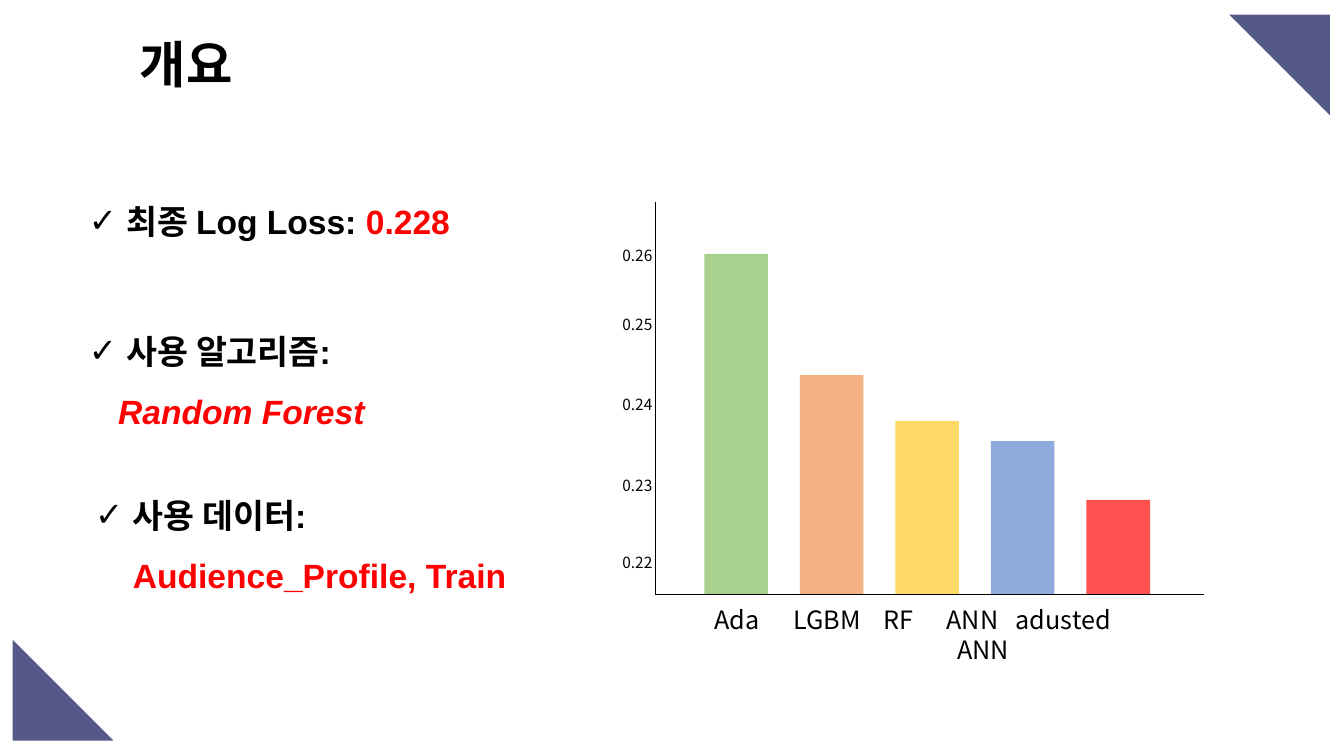
from lxml.etree import SubElement
from pptx import Presentation
from pptx.dml.color import RGBColor
from pptx.enum.shapes import MSO_CONNECTOR as Connector, MSO_SHAPE as Shape
from pptx.enum.text import MSO_ANCHOR as Anchor, MSO_AUTO_SIZE as AutoSize, PP_ALIGN as Align
from pptx.oxml.ns import qn
from pptx.util import Pt

BLACK, RED, NAVY = "000000", "FF0000", "01084F"
AXIS_LEFT, AXIS_RIGHT, AXIS_TOP, AXIS_BOTTOM = 467.8, 859.7, 144, 424.3
FIRST_BAR, BAR_PITCH, BAR_WIDTH = 503.1, 68.25, 45.4
BARS = [  # height, colour
    (243, "A9D18E"),
    (156.3, "F4B183"),
    (123.5, "FFD966"),
    (109.2, "8FAADC"),
    (67.3, "FF5050"),
]
TICKS = [  # value, top of its label
    ("0.26", 171.8),
    ("0.25", 221),
    ("0.24", 278.2),
    ("0.23", 336.5),
    ("0.22", 390.8),
]


def color(hex_code):
    return RGBColor.from_string(hex_code)


class SlideBuilder:
    sans, korean = "Arial", "Noto Sans CJK KR"

    def __init__(self, slide):
        self.slide = slide
        self.shapes = slide.shapes

    def run(self, paragraph, text, size, font, hue=BLACK, bold=False, italic=False):
        run = paragraph.add_run()
        run.text = text
        run.font.name, run.font.size = font, Pt(size)
        run.font.bold, run.font.italic = bold, italic
        run.font.color.rgb = color(hue)

    def place(self, box, left, top, width, height, anchor=Anchor.TOP):
        box.left, box.top, box.width, box.height = map(Pt, (left, top, width, height))
        frame = box.text_frame
        frame.word_wrap, frame.auto_size = True, AutoSize.NONE
        frame.vertical_anchor = anchor
        return frame

    def title(self, text, *bounds):
        frame = self.place(self.shapes.title, *bounds, Anchor.MIDDLE)
        frame.paragraphs[0].alignment = Align.LEFT
        self.run(frame.paragraphs[0], text, 36, self.korean, bold=True)

    def checklist(self, lines, *bounds):
        """Each line: checked, left margin, space before, italic, (text, colour) runs."""
        frame = self.place(self.slide.placeholders[1], *bounds)
        for number, (checked, margin, before, italic, runs) in enumerate(lines):
            paragraph = frame.add_paragraph() if number else frame.paragraphs[0]
            paragraph.line_spacing, paragraph.space_before = Pt(43), Pt(before)
            props = paragraph._p.get_or_add_pPr()
            props.set("marL", str(Pt(margin)))
            props.set("indent", str(Pt(-27 if checked else 0)))
            if checked:
                SubElement(props, qn("a:buFont"), typeface=self.sans)
                SubElement(props, qn("a:buChar"), char="✓")
            else:
                SubElement(props, qn("a:buNone"))
            for text, hue in runs:
                self.run(paragraph, text, 24, self.sans, hue, True, italic)

    def label(self, text, *bounds):
        box = self.shapes.add_textbox(*map(Pt, bounds))
        frame = self.place(box, *bounds, Anchor.MIDDLE)
        self.run(frame.paragraphs[0], text, 11, self.korean)

    def tabbed_labels(self, rows, *bounds):
        """Each row: tab-separated text and its tab stops."""
        frame = self.place(self.shapes.add_textbox(*map(Pt, bounds)), *bounds)
        for number, (text, stops) in enumerate(rows):
            paragraph = frame.add_paragraph() if number else frame.paragraphs[0]
            paragraph.line_spacing = Pt(21.5)
            tabs = SubElement(paragraph._p.get_or_add_pPr(), qn("a:tabLst"))
            for stop in stops:
                SubElement(tabs, qn("a:tab"), pos=str(Pt(stop)), algn="l")
            self.run(paragraph, text, 18, self.korean)

    def block(self, kind, hue, *bounds):
        block = self.shapes.add_shape(kind, *map(Pt, bounds))
        block.shadow.inherit = False
        block.line.fill.background()
        block.fill.solid()
        block.fill.fore_color.rgb = color(hue)
        return block

    def corner(self, left, top, rotation=0):
        triangle = self.block(Shape.RIGHT_TRIANGLE, NAVY, left, top, 72, 72)
        triangle.rotation = rotation
        hue = triangle._element.spPr.find(qn("a:solidFill"))[0]
        SubElement(hue, qn("a:alpha"), val="67000")

    def axis_line(self, *ends):
        line = self.shapes.add_connector(Connector.STRAIGHT, *map(Pt, ends))
        line.line.color.rgb = color(BLACK)
        line.line.width = Pt(0.5)
        SubElement(line._element.spPr, qn("a:effectLst"))


def main():
    deck = Presentation()
    deck.slide_width, deck.slide_height = Pt(960), Pt(540)
    overview = SlideBuilder(deck.slides.add_slide(deck.slide_layouts[1]))

    overview.corner(878, 10.5, 180)
    overview.corner(9, 457)
    overview.title("개요", 92.7, 20, 141, 51)
    overview.checklist([
        (True, 27, 0, False, [("최종 Log Loss: ", BLACK), ("0.228", RED)]),
        (True, 27, 50, False, [("사용 알고리즘:", BLACK)]),
        (False, 21, 0, True, [("Random Forest", RED)]),
        (True, 31.5, 31, False, [("사용 데이터:", BLACK)]),
        (False, 31.5, 0, False, [("Audience_Profile, Train", RED)]),
    ], 56.2, 125.5, 357, 304)

    for number, (height, hue) in enumerate(BARS):
        left = round(FIRST_BAR + number * BAR_PITCH, 2)
        overview.block(Shape.RECTANGLE, hue, left, AXIS_BOTTOM - height, BAR_WIDTH, height)
    overview.axis_line(AXIS_LEFT, AXIS_TOP, AXIS_LEFT, AXIS_BOTTOM)
    overview.axis_line(AXIS_LEFT, AXIS_BOTTOM, AXIS_RIGHT, AXIS_BOTTOM)
    for value, top in TICKS:
        overview.label(value, 437.5, top, 56, 21)
    overview.tabbed_labels([
        ("Ada\tLGBM\tRF\tANN\tadusted", [56.5, 121, 166, 215.5]),
        ("\tANN", [173.8]),
    ], 503, 428, 356, 51)

    deck.save("out.pptx")


if __name__ == "__main__":
    main()
